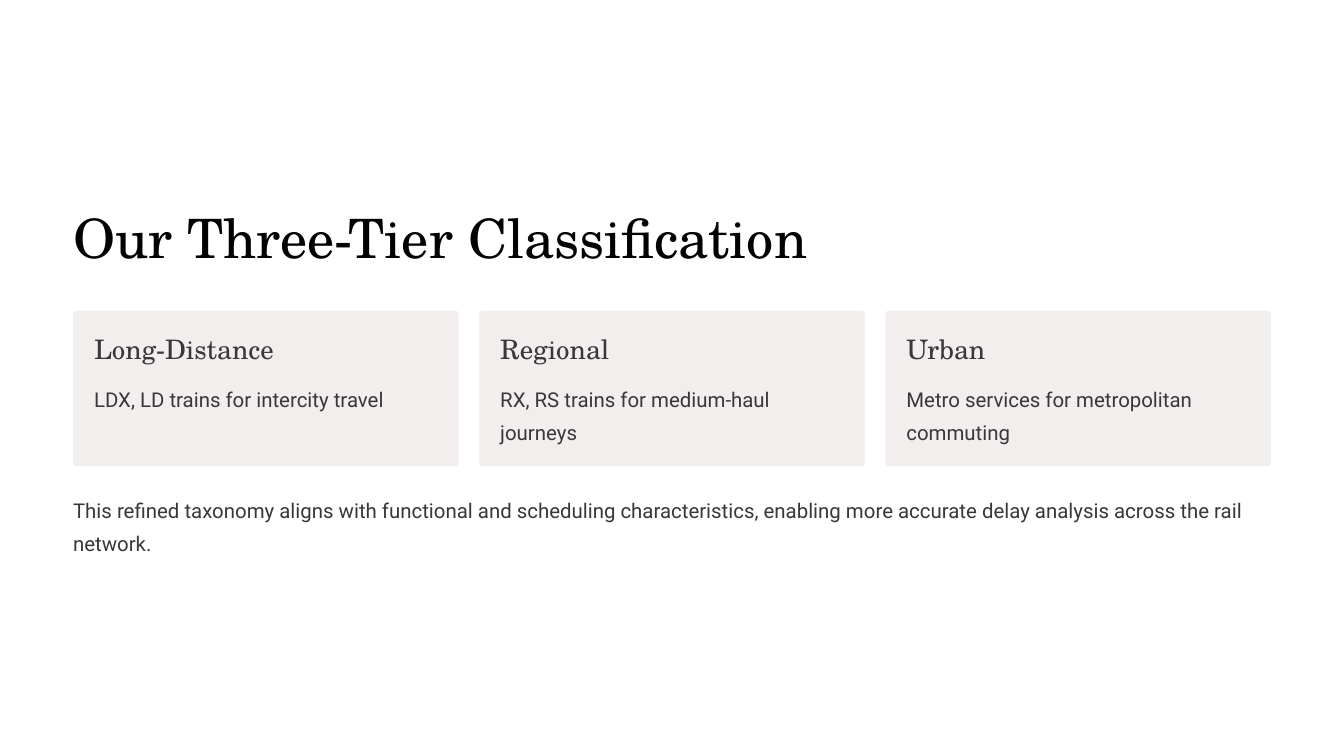
import pptx
import pptx.util
from pptx.dml.color import RGBColor
from pptx.enum.shapes import MSO_SHAPE
from pptx.util import Inches

WHITE = RGBColor(0xFF, 0xFF, 0xFF)
BLACK = RGBColor(0x02, 0x02, 0x02)
GRAY = RGBColor(0x38, 0x38, 0x38)
CARD_FILL = RGBColor(0xF2, 0xEE, 0xEE)

MARGIN = 0.87
CONTENT_WIDTH = 14.26
CARD_WIDTH = 4.59
CARD_TOP = 3.7
CARD_PADDING = 0.25

TIERS = [
    ("Long-Distance", "LDX, LD trains for intercity travel"),
    ("Regional", "RX, RS trains for medium-haul journeys"),
    ("Urban", "Metro services for metropolitan commuting"),
]


class ClassificationSlide:
    heading_font = "TeX Gyre Schola"
    body_font = "Roboto"

    def __init__(self, slide):
        self.slide = slide
        background = slide.background.fill
        background.solid()
        background.fore_color.rgb = WHITE

    def text(self, wording, left, top, width, height, font, size, spacing, color, wrap):
        box = self.slide.shapes.add_textbox(
            Inches(left), Inches(top), Inches(width), Inches(height)
        )
        frame = box.text_frame
        frame.margin_left = frame.margin_right = 0
        frame.margin_top = frame.margin_bottom = 0
        frame.word_wrap = wrap
        frame.text = wording
        paragraph = frame.paragraphs[0]
        paragraph.line_spacing = pptx.util.Pt(spacing)
        run_font = paragraph.runs[0].font
        run_font.name = font
        run_font.size = pptx.util.Pt(size)
        run_font.color.rgb = color

    def title(self, wording):
        self.text(wording, MARGIN, 2.39, 9, 0.81,
                  self.heading_font, 46.5, 58.5, BLACK, False)

    def body(self, wording, left, top, width):
        self.text(wording, left, top, width, 0.79,
                  self.body_font, 17.5, 28.5, GRAY, True)

    def card(self, left, tier, description):
        panel = self.slide.shapes.add_shape(
            MSO_SHAPE.ROUNDED_RECTANGLE,
            Inches(left), Inches(CARD_TOP), Inches(CARD_WIDTH), Inches(1.85),
        )
        panel.adjustments[0] = 0.02
        panel.shadow.inherit = False
        panel.fill.solid()
        panel.fill.fore_color.rgb = CARD_FILL
        panel.line.fill.background()
        inner_left = left + CARD_PADDING
        self.text(tier, inner_left, CARD_TOP + 0.24, 3.26, 0.41,
                  self.heading_font, 23, 29, GRAY, False)
        self.body(description, inner_left, CARD_TOP + 0.8, CARD_WIDTH - 2 * CARD_PADDING)


def main():
    deck = pptx.Presentation()
    deck.slide_width = Inches(16)
    deck.slide_height = Inches(9)
    page = ClassificationSlide(deck.slides.add_slide(deck.slide_layouts[6]))

    page.title("Our Three-Tier Classification")
    card_step = (CONTENT_WIDTH - CARD_WIDTH) / (len(TIERS) - 1)
    for column, (tier, description) in enumerate(TIERS):
        page.card(MARGIN + column * card_step, tier, description)
    page.body(
        "This refined taxonomy aligns with functional and scheduling characteristics, "
        "enabling more accurate delay analysis across the rail network.",
        MARGIN, 5.82, CONTENT_WIDTH,
    )

    deck.save("out.pptx")


if __name__ == "__main__":
    main()
